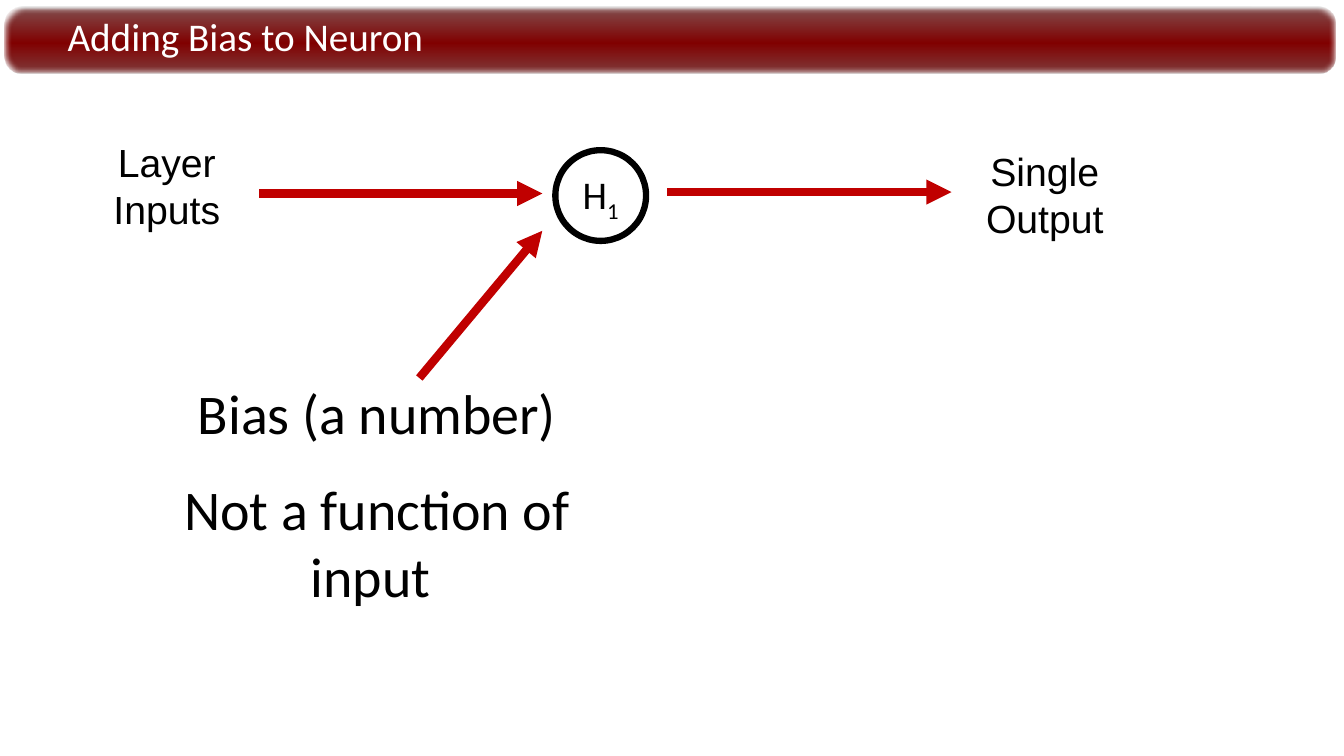
import pptx
import pptx.util
import pptx.dml.color
import pptx.enum.shapes
import pptx.enum.text
import pptx.oxml
import pptx.oxml.ns

Pt = pptx.util.Pt
Shape = pptx.enum.shapes.MSO_SHAPE
Align = pptx.enum.text.PP_ALIGN
Anchor = pptx.enum.text.MSO_ANCHOR
SPACE = pptx.oxml.ns.nsdecls("a")
STOPS = [(0, "808080", 50), (5, "814949", 100), (54, "800000", 100),
         (96, "7F3838", 100), (99.5, "7F6060", 100), (100, "808080", 50)]


def color(code):
    return pptx.dml.color.RGBColor.from_string(code)


def style(para, font, size, code="000000", align=Align.CENTER):
    para.alignment = align
    for run in para.runs:
        run.font.name = font
        run.font.size = Pt(size)
        run.font.color.rgb = color(code)


def banner(slide, box, text):
    left, top, width, height = box
    bar = slide.shapes.add_shape(Shape.ROUNDED_RECTANGLE, *map(Pt, box))
    bar.adjustments[0] = 0.27
    bar.line.fill.background()
    bar.fill.background()
    stops = "".join(
        f'<a:gs pos="{int(pos * 1000)}"><a:srgbClr val="{code}">'
        f'<a:alpha val="{alpha * 1000}"/></a:srgbClr></a:gs>'
        for pos, code, alpha in STOPS)
    props = bar.element.spPr
    blank = props.find(pptx.oxml.ns.qn("a:noFill"))
    props.replace(blank, pptx.oxml.parse_xml(
        f'<a:gradFill {SPACE} rotWithShape="1"><a:gsLst>{stops}</a:gsLst>'
        '<a:lin ang="5400000" scaled="0"/></a:gradFill>'))
    props.append(pptx.oxml.parse_xml(
        f'<a:effectLst {SPACE}><a:softEdge rad="31750"/></a:effectLst>'))

    title = slide.shapes.title
    title.element.getparent().append(title.element)
    title.left, title.top = Pt(left + 44.64), Pt(top + 2.88)
    title.width, title.height = Pt(width - 55.4), Pt(height - 7.92)
    frame = title.text_frame
    frame.text = text
    frame.word_wrap = True
    frame.auto_size = pptx.enum.text.MSO_AUTO_SIZE.NONE
    frame.vertical_anchor = Anchor.MIDDLE
    frame.margin_left = frame.margin_right = 0
    frame.margin_top = frame.margin_bottom = 0
    para = frame.paragraphs[0]
    para.line_spacing = 0.9
    style(para, "Calibri", 28, "FFFFFF", Align.LEFT)


def label(slide, box, text, font, size):
    frame = slide.shapes.add_textbox(*map(Pt, box)).text_frame
    frame.word_wrap = True
    frame.text = text
    for para in frame.paragraphs:
        style(para, font, size)
    for para in frame.paragraphs[1:]:
        para.space_before = Pt(size / 2)


def neuron(slide, box):
    node = slide.shapes.add_shape(Shape.OVAL, *map(Pt, box))
    node.shadow.inherit = False
    node.fill.solid()
    node.fill.fore_color.rgb = color("FFFFFF")
    node.line.color.rgb = color("000000")
    node.line.width = Pt(4.5)
    frame = node.text_frame
    frame.vertical_anchor = Anchor.MIDDLE
    para = frame.paragraphs[0]
    para.line_spacing = 0.9
    para.add_run().text = "H"
    index = para.add_run()
    index.text = "1"
    style(para, "Calibri", 28)
    index.font._element.set("baseline", "-25000")


def arrow(slide, start, end):
    link = slide.shapes.add_connector(
        pptx.enum.shapes.MSO_CONNECTOR.STRAIGHT, *map(Pt, start + end))
    link.line.color.rgb = color("C00000")
    link.line.width = Pt(6)
    link.line._get_or_add_ln().append(
        pptx.oxml.parse_xml(f'<a:tailEnd {SPACE} type="triangle"/>'))
    link.element.spPr.append(pptx.oxml.parse_xml(f"<a:effectLst {SPACE}/>"))


def diagram(slide, box):
    left, top, width, height = box
    neuron(slide, (left + 335.5, top + 12.24, 64.8, 64.8))
    label(slide, (left, top, 115.92, 74.88), "Layer Inputs", "Arial", 28)
    label(slide, (left + width - 115.92, top + 6.48, 115.92, 74.88),
          "Single Output", "Arial", 28)
    label(slide, (left + 47.5, top + height - 177.12, 321.12, 177.12),
          "Bias (a number)\nNot a function of input ", "Calibri", 40)
    arrow(slide, (left + 123.84, top + 43.2), (left + 326.16, top + 43.2))
    arrow(slide, (left + 415.44, top + 42.2), (left + 618.48, top + 42.2))
    arrow(slide, (left + 238.32, top + 174.96), (left + 326.16, top + 69.84))


def main():
    deck = pptx.Presentation()
    deck.slide_width, deck.slide_height = Pt(960), Pt(540)
    slide = deck.slides.add_slide(deck.slide_layouts[5])
    banner(slide, (3.6, 5.04, 950.4, 47.52), "Adding Bias to Neuron")
    diagram(slide, (61.2, 95.04, 743.04, 349.2))
    deck.save("out.pptx")


if __name__ == "__main__":
    main()
